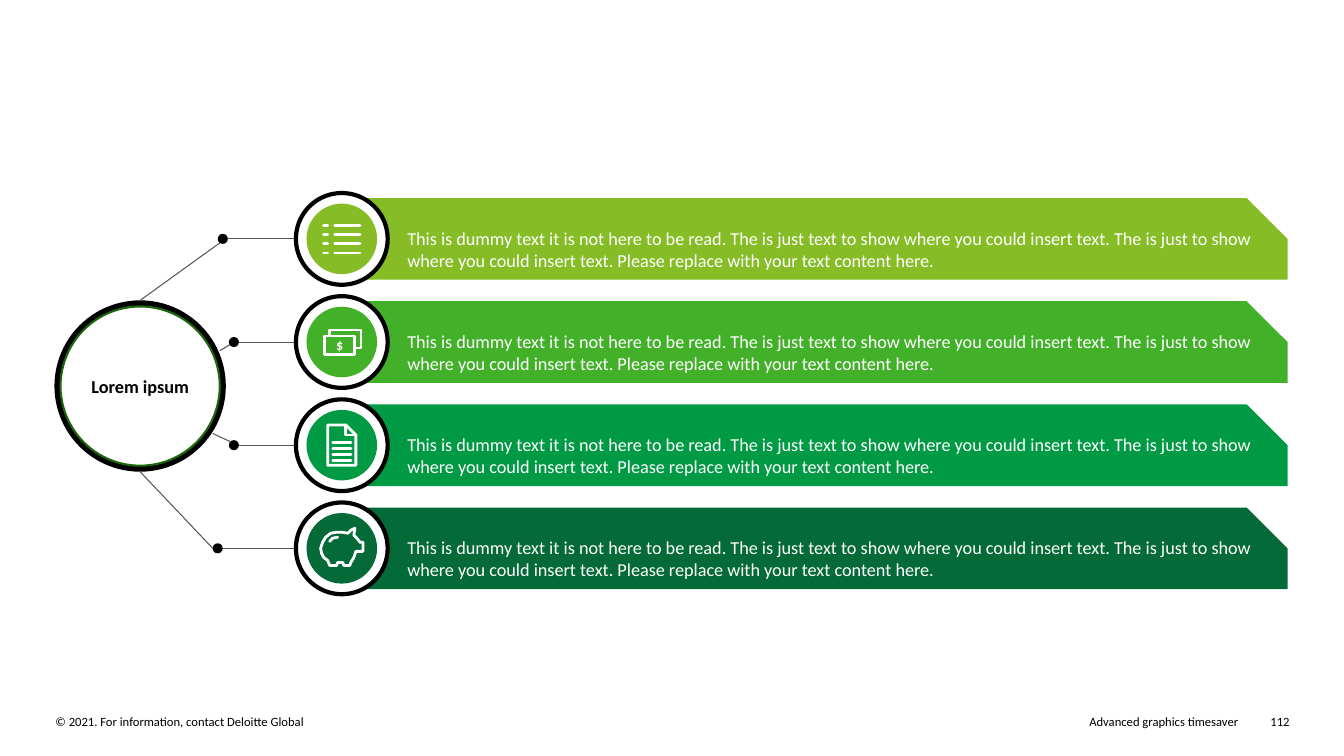
from dataclasses import dataclass

from lxml import etree
from pptx import Presentation
from pptx.dml.color import RGBColor
from pptx.enum.shapes import MSO_CONNECTOR, MSO_SHAPE
from pptx.enum.text import MSO_ANCHOR, PP_ALIGN
from pptx.oxml.ns import qn
from pptx.util import Inches, Pt

OVAL, SNIP = MSO_SHAPE.OVAL, MSO_SHAPE.SNIP_1_RECTANGLE
STRAIGHT = MSO_CONNECTOR.STRAIGHT
LEFT, CENTER, RIGHT = PP_ALIGN.LEFT, PP_ALIGN.CENTER, PP_ALIGN.RIGHT
MIDDLE = MSO_ANCHOR.MIDDLE


@dataclass(frozen=True)
class Theme:
    font: str = "Calibri"
    black: str = "000000"
    white: str = "FFFFFF"
    gray: str = "53565A"
    hub_edge: str = "1C670A"
    body_size: float = 13
    footer_size: float = 9
    dollar_size: float = 10
    thin: float = 0.75
    hub_line: float = 1.5
    icon_line: float = 2
    ring_line: float = 3


THEME = Theme()

# Content
HUB_LABEL = "Lorem ipsum"
BODY = ("This is dummy text it is not here to be read. The is just text to show where "
        "you could insert text. The is just to show where you could insert text. "
        "Please replace with your text content here.")
FOOTERS = [  # text, left, width, alignment
    ("© 2021. For information, contact Deloitte Global", 0.55, 5.86, LEFT),
    ("Advanced graphics timesaver", 6.93, 5.35, RIGHT),
    ("112", 12.45, 0.34, RIGHT),
]
ROWS = [  # colour, dot centre x, spoke start, spoke end, icon
    ("86BC25", 2.21, (1.39, 2.98), (2.18, 2.41), "list"),
    ("43B02A", 2.32, (2.18, 3.48), (2.28, 3.42), "money"),
    ("009A44", 2.32, (2.11, 4.30), (2.28, 4.38), "document"),
    ("046A38", 2.16, (1.39, 4.68), (2.11, 5.44), "piggy"),
]

# Icon strokes, in inches from the middle of the badge
LIST_LEVELS = [-0.13 + 0.09 * i for i in range(4)]
PAGE_LEVELS = [-0.03 + 0.06 * i for i in range(4)]
ICONS = {
    "list": [[(x1, y), (x2, y)] for y in LIST_LEVELS
             for x1, x2 in ((-0.18, -0.14), (-0.07, 0.18))],
    "money": [
        [(-0.17, -0.06), (0.13, -0.06), (0.13, 0.12), (-0.17, 0.12), (-0.17, -0.06)],
        [(-0.12, -0.06), (-0.12, -0.12), (0.19, -0.12), (0.19, 0.06), (0.13, 0.06)],
    ],
    "document": [
        [(-0.14, -0.2), (0.04, -0.2), (0.14, -0.1), (0.14, 0.2), (-0.14, 0.2),
         (-0.14, -0.2)],
        [(0.04, -0.2), (0.04, -0.1), (0.14, -0.1)],
    ] + [[(-0.09, y), (0.09, y)] for y in PAGE_LEVELS],
    "piggy": [
        [(0.21, -0.06), (0.21, 0.03), (0.14, 0.03), (0.12, 0.09), (0.09, 0.14),
         (0.08, 0.17), (0.02, 0.17), (0.01, 0.14), (-0.04, 0.14), (-0.05, 0.17),
         (-0.12, 0.17), (-0.14, 0.12), (-0.18, 0.09), (-0.2, 0.05), (-0.21, 0),
         (-0.19, -0.06), (-0.16, -0.11), (-0.11, -0.15), (-0.05, -0.16),
         (0, -0.16), (0.06, -0.15), (0.09, -0.18), (0.13, -0.2), (0.12, -0.13),
         (0.15, -0.1), (0.18, -0.06), (0.21, -0.06)],
        [(-0.12, -0.07), (-0.09, -0.1), (-0.04, -0.11)],
    ],
}

# Layout
HUB_X, HUB_Y, HUB_OUTER, HUB_INNER = 1.39, 3.83, 1.7, 1.58
BADGE_X, RING, DISC, DOT = 3.39, 0.91, 0.7, 0.1
FIRST_Y, LAST_Y = 2.37, 5.44
ROW_STEP = (LAST_Y - FIRST_Y) / (len(ROWS) - 1)
BAR_LEFT, BAR_WIDTH, BAR_HEIGHT = 3.34, 9.43, 0.81
FOOTER_TOP, FOOTER_HEIGHT = 7.08, 0.15

deck = Presentation()
deck.slide_width, deck.slide_height = Inches(13.33), Inches(7.5)
slide = deck.slides.add_slide(deck.slide_layouts[6])
shapes = slide.shapes


def write(holder, text, size=THEME.body_size, color=THEME.black, bold=False,
          align=LEFT, left=0, right=0):
    frame = holder.text_frame
    frame.word_wrap = True
    frame.vertical_anchor = MIDDLE
    frame.margin_left, frame.margin_right = Inches(left), Inches(right)
    frame.margin_top = frame.margin_bottom = 0
    paragraph = frame.paragraphs[0]
    paragraph.alignment = align
    run = paragraph.add_run()
    run.text = text
    run.font.name, run.font.size, run.font.bold = THEME.font, Pt(size), bold
    run.font.color.rgb = RGBColor.from_string(color)


def set_line(item, color, width):
    item.line.color.rgb = RGBColor.from_string(color)
    item.line.width = Pt(width)


def add_filled(kind, left, top, width, height, fill, edge=None, weight=0):
    item = shapes.add_shape(kind, Inches(left), Inches(top), Inches(width), Inches(height))
    item.shadow.inherit = False
    item.fill.solid()
    item.fill.fore_color.rgb = RGBColor.from_string(fill)
    if edge:
        set_line(item, edge, weight)
    else:
        item.line.fill.background()
    return item


def add_circle(x, y, size, fill, edge=None, weight=0):
    return add_filled(OVAL, x - size / 2, y - size / 2, size, size, fill, edge, weight)


def add_label(text, left, top, width, height, **style):
    write(shapes.add_textbox(Inches(left), Inches(top), Inches(width), Inches(height)),
          text, **style)


def add_line(start, end, color=THEME.gray, width=THEME.thin):
    line = shapes.add_connector(STRAIGHT, *(Inches(v) for v in (*start, *end)))
    set_line(line, color, width)
    etree.SubElement(line._element.spPr, qn("a:effectLst"))
    return line


def add_stroke(points):
    if len(points) == 2:
        stroke = add_line(*points, color=THEME.white, width=THEME.icon_line)
    else:
        corners = [(Inches(x), Inches(y)) for x, y in points]
        closed = points[0] == points[-1]
        builder = shapes.build_freeform(*corners[0])
        builder.add_line_segments(corners[1:], close=closed)
        stroke = builder.convert_to_shape()
        stroke.shadow.inherit = False
        stroke.fill.background()
        set_line(stroke, THEME.white, THEME.icon_line)
    outline = stroke.line._get_or_add_ln()
    outline.set("cap", "rnd")
    etree.SubElement(outline, qn("a:round"))


# Footer
for text, left, width, align in FOOTERS:
    add_label(text, left, FOOTER_TOP, width, FOOTER_HEIGHT,
              size=THEME.footer_size, align=align)

# Hub
add_circle(HUB_X, HUB_Y, HUB_OUTER, THEME.black)
hub = add_circle(HUB_X, HUB_Y, HUB_INNER, THEME.white, THEME.hub_edge, THEME.hub_line)
write(hub, HUB_LABEL, bold=True, align=CENTER)

# Rows: lines, bar, badge and icon
for index, (color, dot_x, spoke_start, spoke_end, icon) in enumerate(ROWS):
    y = FIRST_Y + index * ROW_STEP
    add_line((dot_x + DOT / 2, y), (BADGE_X - RING / 2, y))
    add_line(spoke_start, spoke_end)
    add_circle(dot_x, y, DOT, THEME.black)

    bar = add_filled(SNIP, BAR_LEFT, y - BAR_HEIGHT / 2, BAR_WIDTH, BAR_HEIGHT, color)
    bar.adjustments[0] = 0.5
    write(bar, BODY, color=THEME.white, left=0.7, right=0.12)

    add_circle(BADGE_X, y, RING, THEME.white, THEME.black, THEME.ring_line)
    add_circle(BADGE_X, y, DISC, color)
    for stroke_points in ICONS[icon]:
        add_stroke([(BADGE_X + dx, y + dy) for dx, dy in stroke_points])
    if icon == "money":
        add_label("$", BADGE_X - 0.17, y - 0.06, 0.3, 0.18, size=THEME.dollar_size,
                  color=THEME.white, bold=True, align=CENTER)

deck.save("out.pptx")
